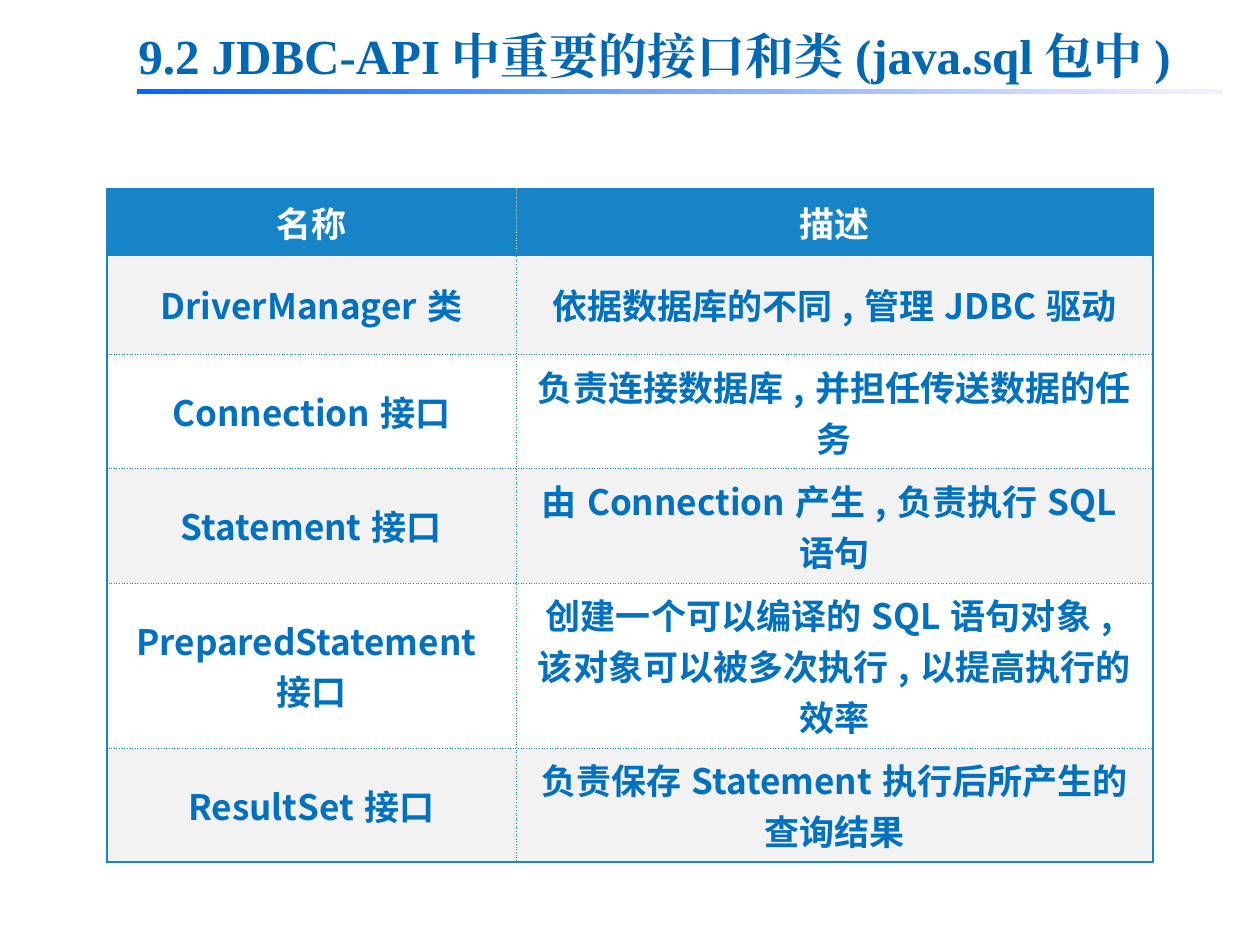
from collections import namedtuple

from lxml import etree
from pptx import Presentation
from pptx.dml.color import RGBColor
from pptx.enum.shapes import MSO_SHAPE
from pptx.enum.text import MSO_ANCHOR, MSO_AUTO_SIZE, PP_ALIGN
from pptx.oxml.ns import qn
from pptx.util import Inches, Pt

CENTER, JUSTIFY = PP_ALIGN.CENTER, PP_ALIGN.JUSTIFY
MIDDLE, GROW = MSO_ANCHOR.MIDDLE, MSO_AUTO_SIZE.SHAPE_TO_FIT_TEXT
RECTANGLE = MSO_SHAPE.RECTANGLE

COLORS = {
    "title": "0067B4", "rule_start": "0066FF", "rule_end": "F7EFFF",
    "frame": "1784C7", "text": "0070C0", "band": "F2F2F2", "white": "FFFFFF",
}
TITLE_FONT, TABLE_FONT = "Times New Roman", "Noto Sans CJK SC"
WIDTH, HEIGHT = Inches(10), Inches(7.5)
TITLE = "9.2 JDBC-API中重要的接口和类(java.sql包中)"
ROWS = [
    ("名称", "描述"),
    ("DriverManager类", "依据数据库的不同,管理JDBC驱动"),
    ("Connection接口", "负责连接数据库,并担任传送数据的任务"),
    ("Statement接口", "由Connection产生,负责执行SQL语句"),
    ("PreparedStatement接口", "创建一个可以编译的SQL语句对象,该对象可以被多次执行,以提高执行的效率"),
    ("ResultSet接口", "负责保存Statement执行后所产生的查询结果"),
]
COLUMN_WEIGHTS = (3.24, 5.05)
ROW_WEIGHTS = (0.52, 0.79, 0.9, 0.9, 1.31, 0.9)

Box = namedtuple("Box", "left top width height")


def rgb(name):
    """Return the named palette colour."""
    return RGBColor.from_string(COLORS[name])


def page_box(left, top, width, height):
    """Turn shares of the slide into a box of lengths."""
    return Box(int(left * WIDTH), int(top * HEIGHT), int(width * WIDTH), int(height * HEIGHT))


def style_span(span, font, size, color):
    """Set a bold run in one typeface for Latin and Chinese text."""
    span.font.name, span.font.size, span.font.bold = font, Pt(size), True
    span.font.color.rgb = rgb(color)
    latin = span.font._element.find(qn("a:latin"))
    east_asian = etree.Element(qn("a:ea"), typeface=font)
    latin.addnext(east_asian)


def add_title(page, box):
    """Place the heading and the fading rule beneath it."""
    rule = page.shapes.add_shape(
        RECTANGLE, box.left + int(box.width * 0.01), box.top + int(box.height * 0.93),
        int(box.width * 0.99), int(box.height * 0.07))
    rule.shadow.inherit = False
    rule.line.fill.background()
    rule.fill.gradient()
    rule.fill.gradient_angle = 0
    for stop, position, color in zip(rule.fill.gradient_stops, (0, 1), ("rule_start", "rule_end")):
        stop.position = position
        stop.color.rgb = rgb(color)

    frame = page.shapes.add_textbox(*box).text_frame
    frame.word_wrap, frame.auto_size = True, GROW
    frame.text = TITLE
    para = frame.paragraphs[0]
    para.alignment = JUSTIFY
    style_span(para.runs[0], TITLE_FONT, 28, "title")


def add_border(cell, side, color, solid):
    """Draw one cell edge, thick when solid and hairline when dotted."""
    properties = cell._tc.get_or_add_tcPr()
    line = etree.Element(qn(f"a:ln{side}"), w=str(Pt(1.5 if solid else 0.25)))
    fill = etree.SubElement(line, qn("a:solidFill"))
    etree.SubElement(fill, qn("a:srgbClr"), val=COLORS[color])
    etree.SubElement(line, qn("a:prstDash"), val="solid" if solid else "sysDot")
    properties.insert("LRTB".index(side), line)


def style_cell(cell, row, column):
    """Format a cell by its place in the table."""
    header, last_row, last_column = row == 0, row == len(ROWS) - 1, column == 1
    cell.vertical_anchor = MIDDLE
    cell.fill.solid()
    cell.fill.fore_color.rgb = rgb("frame" if header else "band" if row % 2 else "white")
    inner = "white" if header else "frame"
    add_border(cell, "L", inner if last_column else "frame", not last_column)
    add_border(cell, "R", "frame" if last_column else inner, last_column)
    add_border(cell, "T", "frame", row <= 1)
    add_border(cell, "B", "frame", header or last_row)
    para = cell.text_frame.paragraphs[0]
    para.alignment = CENTER
    style_span(para.runs[0], TABLE_FONT, 20, "white" if header else "text")


def add_interface_table(page, box):
    """Fill the box with the table of interfaces and classes."""
    table = page.shapes.add_table(len(ROWS), len(COLUMN_WEIGHTS), *box).table
    for column, weight in zip(table.columns, COLUMN_WEIGHTS):
        column.width = int(box.width * weight / sum(COLUMN_WEIGHTS))
    for row, weight in zip(table.rows, ROW_WEIGHTS):
        row.height = int(box.height * weight / sum(ROW_WEIGHTS))
    for r, texts in enumerate(ROWS):
        for c, text in enumerate(texts):
            cell = table.cell(r, c)
            cell.text_frame.text = text
            style_cell(cell, r, c)


def main():
    """Build the slide and save the deck."""
    deck = Presentation()
    deck.slide_width, deck.slide_height = WIDTH, HEIGHT
    page = deck.slides.add_slide(deck.slide_layouts[6])
    add_interface_table(page, page_box(0.085, 0.2, 0.83, 0.71))
    add_title(page, page_box(0.1, 0.02, 0.87, 0.08))
    deck.save("out.pptx")


if __name__ == "__main__":
    main()
